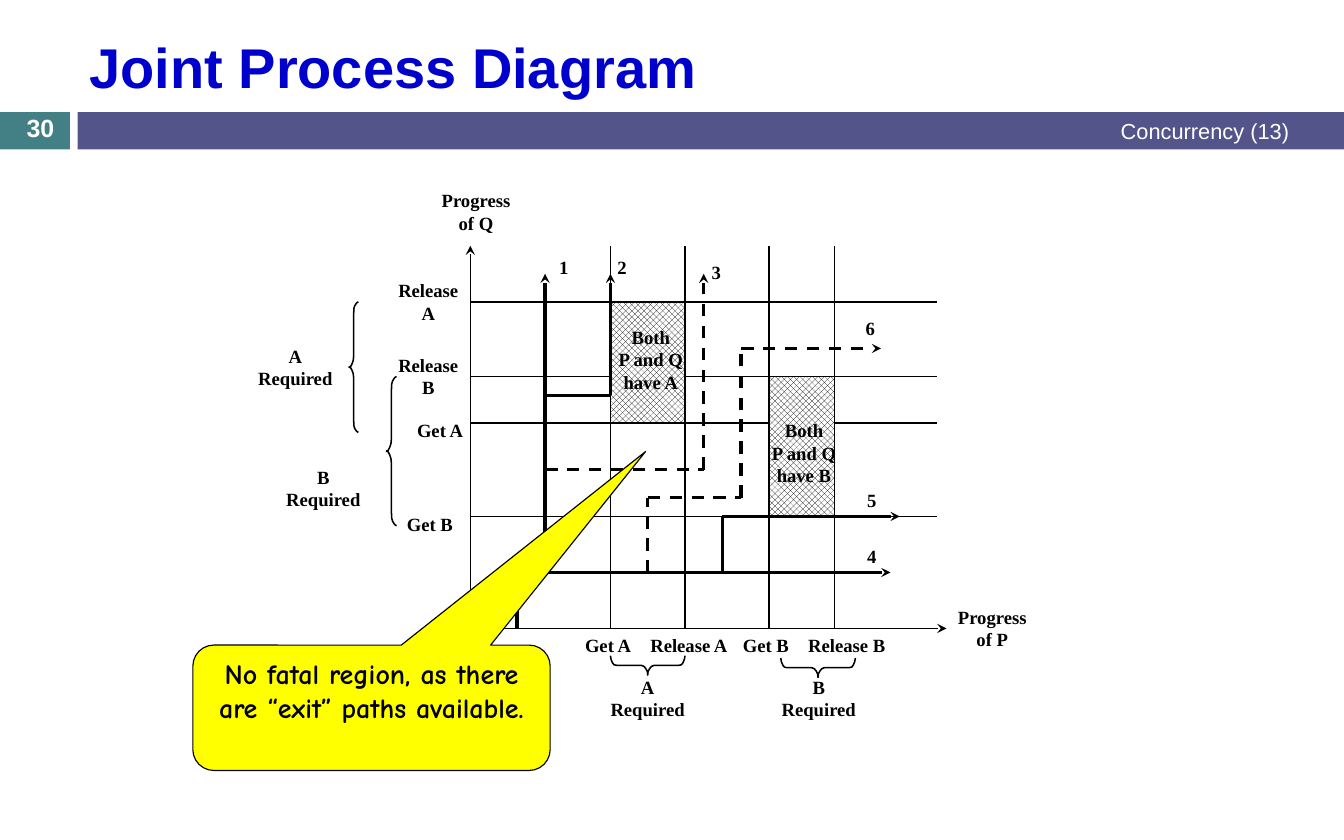
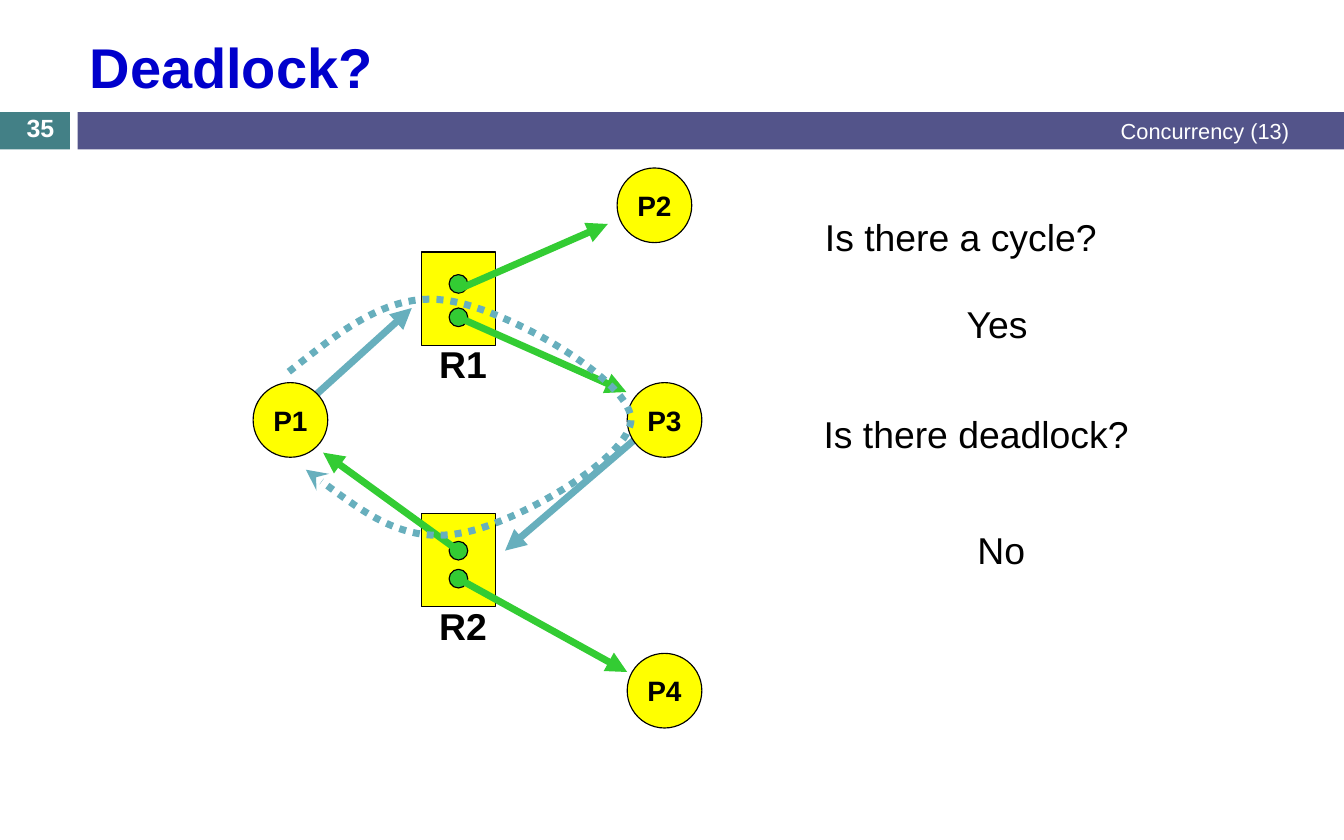
from collections import namedtuple
from itertools import pairwise

from lxml.etree import SubElement
from pptx import Presentation
from pptx.dml.color import RGBColor
from pptx.enum.dml import MSO_LINE as DASH, MSO_PATTERN as PATTERN
from pptx.enum.shapes import MSO_CONNECTOR as LINK, MSO_SHAPE as SHAPE
from pptx.enum.text import MSO_ANCHOR as ANCHOR, MSO_AUTO_SIZE as FIT, PP_ALIGN as ALIGN
from pptx.oxml.ns import qn
from pptx.util import Pt

BLACK = RGBColor(0x00, 0x00, 0x00)
WHITE = RGBColor(0xFF, 0xFF, 0xFF)
TITLE_BLUE = RGBColor(0x00, 0x00, 0xCC)
TEAL = RGBColor(0x43, 0x80, 0x86)
INDIGO = RGBColor(0x53, 0x54, 0x8A)
YELLOW = RGBColor(0xFF, 0xFF, 0x00)
GREEN = RGBColor(0x33, 0xCC, 0x33)
REQUEST_BLUE = RGBColor(0x67, 0xAF, 0xBD)

Box = namedtuple("Box", "left top width height")

TITLE_FONT = {"name": "Arial", "size": Pt(36), "bold": True}
NUMBER_FONT = {"name": "Arial", "size": Pt(16), "bold": True}
COURSE_FONT = {"name": "Arial", "size": Pt(14), "bold": False}
LABEL_FONT = {"name": "Times New Roman", "size": Pt(12), "bold": True}
CALLOUT_FONT = {"name": "Comic Neue", "size": Pt(18), "bold": True}
PROCESS_FONT = {"name": "Arial", "size": Pt(18), "bold": True}
RESOURCE_FONT = {"name": "Arial", "size": Pt(24), "bold": True}
QUESTION_FONT = {"name": "Arial", "size": Pt(24), "bold": False}

BRACE_ALONG = (0, 0.02, 0.06, 0.1, 0.18, 0.83, 0.9, 0.95, 0.99, 1)
BRACE_DEPTH = (0, 0.2, 0.38, 0.47, 0.5, 0.5, 0.55, 0.67, 0.82, 1)


def write(shape, text, font, color=BLACK, align=ALIGN.CENTER, anchor=ANCHOR.MIDDLE, wrap=False):
    """Fill a shape with text, one paragraph a line."""
    frame = shape.text_frame
    frame.text = text
    settings = {"word_wrap": wrap, "auto_size": FIT.NONE, "vertical_anchor": anchor}
    for name, value in settings.items():
        setattr(frame, name, value)
    for paragraph in frame.paragraphs:
        paragraph.alignment = align
        for run in paragraph.runs:
            for name, value in font.items():
                setattr(run.font, name, value)
            run.font.color.rgb = color


def add_text(slide, box, text, font, **style):
    """Add a text box."""
    write(slide.shapes.add_textbox(*map(Pt, box)), text, font, **style)


def add_block(slide, kind, box, fill, line=0.75):
    """Add a preset shape with a flat fill and an optional black outline."""
    block = slide.shapes.add_shape(kind, *map(Pt, box))
    block.shadow.inherit = False
    block.fill.solid()
    block.fill.fore_color.rgb = fill
    if line:
        block.line.color.rgb = BLACK
        block.line.width = Pt(line)
    else:
        block.line.fill.background()
    return block


def style_line(shape, color, width, dash=None, head=None):
    """Set colour, weight, dash and end arrowhead, and drop the shadow."""
    shape.line.color.rgb = color
    shape.line.width = Pt(width)
    if dash:
        shape.line.dash_style = dash
    properties = shape.element.spPr
    if head:
        SubElement(properties.find(qn("a:ln")), qn("a:tailEnd"), type=head)
    SubElement(properties, qn("a:effectLst"))


def add_line(slide, start, end, color=BLACK, width=1, dash=None, head=None):
    """Add a straight connector between two points."""
    ends = map(Pt, (*start, *end))
    style_line(slide.shapes.add_connector(LINK.STRAIGHT, *ends), color, width, dash, head)


def add_outline(slide, points):
    """Add an open, unfilled freeform through the points."""
    first, *rest = [(Pt(x), Pt(y)) for x, y in points]
    builder = slide.shapes.build_freeform(*first)
    builder.add_line_segments(rest, close=False)
    outline = builder.convert_to_shape()
    outline.fill.background()
    return outline


def add_brace(slide, start, end, depth):
    """Add a curly brace from start to end whose point lies at the depth vector."""
    half = [(along / 2, deep) for along, deep in zip(BRACE_ALONG, BRACE_DEPTH)]
    profile = half + [(1 - along, deep) for along, deep in reversed(half[:-1])]
    points = [
        tuple(a + (b - a) * along + d * deep for a, b, d in zip(start, end, depth))
        for along, deep in profile
    ]
    style_line(add_outline(slide, points), BLACK, 1)


def add_bands(slide, box):
    """Draw the two header bands and move them to the slide's layout."""
    tree = slide.slide_layout.shapes.element
    number_width, gap = 45, 5
    course_left = number_width + gap
    for left, width, fill in (
        (0, number_width, TEAL),
        (course_left, box.width - course_left, INDIGO),
    ):
        band = add_block(slide, SHAPE.RECTANGLE, (box.left + left, box.top, width, box.height), fill, 0)
        tree.insert(2, band.element)


def add_header(slide, title, number, box):
    """Set the title, course name and slide number above and on the bands."""
    heading = slide.shapes.title
    place = {"left": 50.4, "top": box.top - 58.3, "width": 785.5, "height": 57.6}
    for name, value in place.items():
        setattr(heading, name, Pt(value))
    write(heading, title, TITLE_FONT, TITLE_BLUE, ALIGN.LEFT, wrap=True)
    add_text(slide, (324, box.top - 0.7, 512, 25.2), "Concurrency (13)", COURSE_FONT,
             color=WHITE, align=ALIGN.RIGHT, wrap=True)
    add_text(slide, (box.left, box.top - 0.7, 51.8, 21.6), number, NUMBER_FONT,
             color=WHITE, wrap=True)


def add_joint_diagram(slide, box):
    """Plot the progress of Q against P; heights are measured up from the lower left corner."""

    def at(x, height):
        return box.left + x, box.top + box.height - height

    def label(text, center, height):
        lines = text.split("\n")
        width = 5.8 * max(map(len, lines)) + 14.4
        place = (*at(center - width / 2, height), width, 14.4 * len(lines) + 7.2)
        add_text(slide, place, text, LABEL_FONT, anchor=ANCHOR.TOP)

    get_b_q, get_a_q, release_b_q, release_a_q = q_steps = 72, 132, 162, 210
    get_a_p, release_a_p, get_b_p, release_b_p = p_steps = 90, 138, 192, 234
    for height in q_steps:
        add_line(slide, at(0, height), at(box.width - 6, height))
    for x in p_steps:
        add_line(slide, at(x, 0), at(x, box.height))
    for end in ((0, box.height), (box.width, 0)):
        add_line(slide, at(0, 0), at(*end), head="stealth")

    for left, right, bottom, top in (
        (get_a_p, release_a_p, get_a_q, release_a_q),
        (get_b_p, release_b_p, get_b_q, release_b_q),
    ):
        place = (*at(left, top), right - left, top - bottom)
        region = add_block(slide, SHAPE.RECTANGLE, place, WHITE, 1)
        region.fill.patterned()
        region.fill.pattern = PATTERN.OUTLINED_DIAMOND
        region.fill.fore_color.rgb = BLACK
        region.fill.back_color.rgb = WHITE

    executions = (
        (None, ((30, 0), (30, 36), (48, 36), (48, 228))),
        (None, ((48, 150), (get_a_p, 150), (get_a_p, 228))),
        (DASH.DASH, ((48, 102), (150, 102), (150, 228))),
        (None, ((48, 36), (270, 36))),
        (None, ((162, 36), (162, get_b_q), (276, get_b_q))),
        (DASH.DASH, ((114, 36), (114, 84), (174, 84), (174, 180), (264, 180))),
    )
    for dash, stops in executions:
        for start, end in pairwise(stops):
            head = "stealth" if end == stops[-1] else None
            add_line(slide, at(*start), at(*end), width=2, dash=dash, head=head)

    for start, end, depth in (
        ((-72, 210), (-72, 126), (-6, 0)),
        ((-47.5, 162), (-47.5, 66), (-6.5, 0)),
        ((90, -17.5), (138, -17.5), (0, 12.5)),
        ((199.5, -19), (247.5, -19), (0, 12.5)),
    ):
        add_brace(slide, at(*start), at(*end), depth)

    for text, center, height in (
        ("Progress\nof Q", 3.6, 286),
        ("Release\nA", -27, 228),
        ("Release\nB", -27, 180),
        ("Get A", -19.5, 138),
        ("Get B", -26, 78),
        ("Get A", 88.5, 0),
        ("Release A", 140.5, 0),
        ("Get B", 190, 0),
        ("Release B", 242, 0),
        ("Progress\nof P", 335.5, 18),
        ("A\nRequired", 114, -27),
        ("B\nRequired", 224, -27),
        ("A\nRequired", -112.5, 186),
        ("B\nRequired", -94.5, 108),
        ("Both\nP and Q\nhave A", 116, 198),
        ("Both\nP and Q\nhave B", 214.5, 138),
        ("1", 60, 243),
        ("2", 97.5, 243),
        ("3", 158, 240),
        ("4", 258, 57),
        ("5", 258, 93),
        ("6", 257, 204),
    ):
        label(text, center, height)


def add_callout(slide, box):
    """Add the yellow remark that points into the diagram."""
    remark = add_block(slide, SHAPE.ROUNDED_RECTANGULAR_CALLOUT, box, YELLOW)
    for index, value in enumerate((0.767, -2.044, 0.167)):
        remark.adjustments[index] = value
    write(remark, "No fatal region, as there are “exit” paths available.", CALLOUT_FONT,
          anchor=ANCHOR.TOP, wrap=True)


def add_cycle(slide, points):
    """Add the dotted Bezier curve that traces the cycle."""
    cycle = add_outline(slide, points)
    style_line(cycle, REQUEST_BLUE, 4.5, DASH.ROUND_DOT, "stealth")
    route = next(cycle.element.iter(qn("a:lnTo"))).getparent()
    segments = route.findall(qn("a:lnTo"))
    for first in range(0, len(segments), 3):
        curve = SubElement(route, qn("a:cubicBezTo"))
        for segment in segments[first:first + 3]:
            curve.append(segment[0])
            route.remove(segment)


def add_allocation_graph(slide, box):
    """Draw processes, resources with their instances, and the arrows between them."""

    def at(x, y):
        return box.left + x, box.top + y

    def arrows(color, pairs):
        for start, end in pairs:
            add_line(slide, at(*start), at(*end), color, 4.5, head="triangle")

    arrows(REQUEST_BLUE, (((28, 157), (102, 90)), ((246, 174), (162, 246))))
    for name, x, y in (("P1", 0, 138), ("P2", 234, 0), ("P3", 240.5, 138), ("P4", 240.5, 312)):
        process = add_block(slide, SHAPE.OVAL, (*at(x, y), 48, 48), YELLOW)
        write(process, name, PROCESS_FONT)
    for name, y, instances in (("R1", 54, (68.5, 90)), ("R2", 222, (240, 258))):
        add_block(slide, SHAPE.RECTANGLE, (*at(108, y), 48, 60), YELLOW)
        for instance in instances:
            add_block(slide, SHAPE.OVAL, (*at(126, instance), 12, 12), GREEN)
        add_text(slide, (*at(112.3, y + 54), 45.4, 36), name, RESOURCE_FONT)
    arrows(GREEN, (
        ((132, 246), (45, 183)),
        ((132, 264), (240.5, 324)),
        ((132, 78), (228, 36)),
        ((132, 96), (240, 144)),
    ))
    add_cycle(slide, [at(*point) for point in (
        (23, 131), (55, 106), (86, 80), (123, 85), (160, 89), (241, 135), (243, 161),
        (244, 186), (167, 230), (132, 235), (97, 241), (66, 218), (34, 194),
    )])


def add_questions(slide, box):
    """Write the two questions with their answers."""
    for text, x, y, width in (
        ("Is there a cycle?", 1, 0, 189.4),
        ("Yes", 91, 56, 56),
        ("Is there deadlock?", 0, 126.7, 211),
        ("No", 99, 201.6, 45.4),
    ):
        add_text(slide, (box.left + x, box.top + y, width, 36), text, QUESTION_FONT)


def main():
    """Build both slides and save them."""
    deck = Presentation()
    deck.slide_width, deck.slide_height = Pt(864), Pt(540)
    title_only = deck.slide_layouts[5]
    bands = Box(0, 72, 864, 24)

    joint = deck.slides.add_slide(title_only)
    add_bands(joint, bands)
    add_joint_diagram(joint, Box(302.4, 158, 306, 246))
    add_callout(joint, Box(124, 414.7, 229.7, 80.6))
    add_header(joint, "Joint Process Diagram", "30", bands)

    deadlock = deck.slides.add_slide(title_only)
    add_allocation_graph(deadlock, Box(162.7, 108, 289, 360))
    add_questions(deadlock, Box(522, 134, 211, 238))
    add_header(deadlock, "Deadlock?", "35", bands)
    deck.save("out.pptx")


if __name__ == "__main__":
    main()
